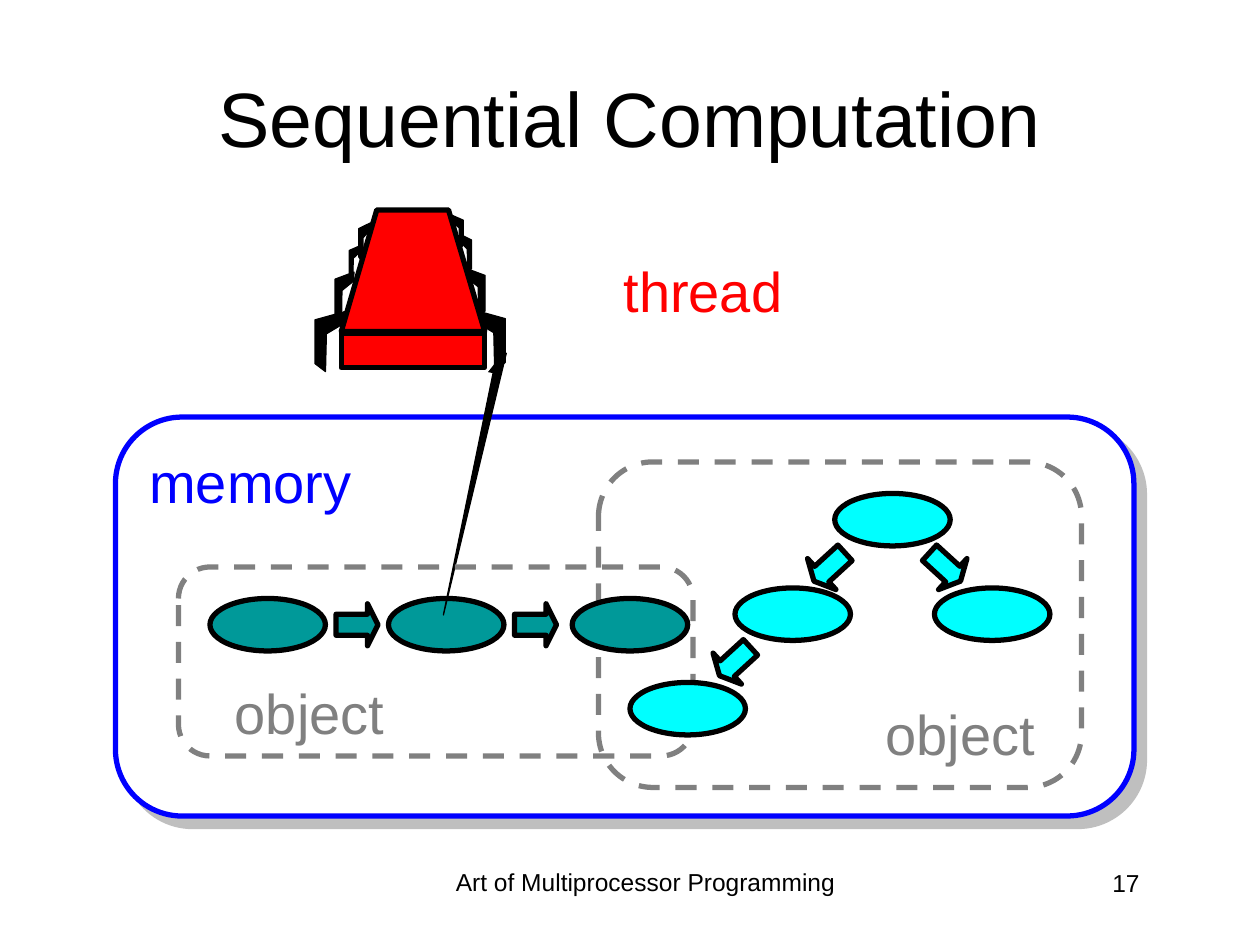
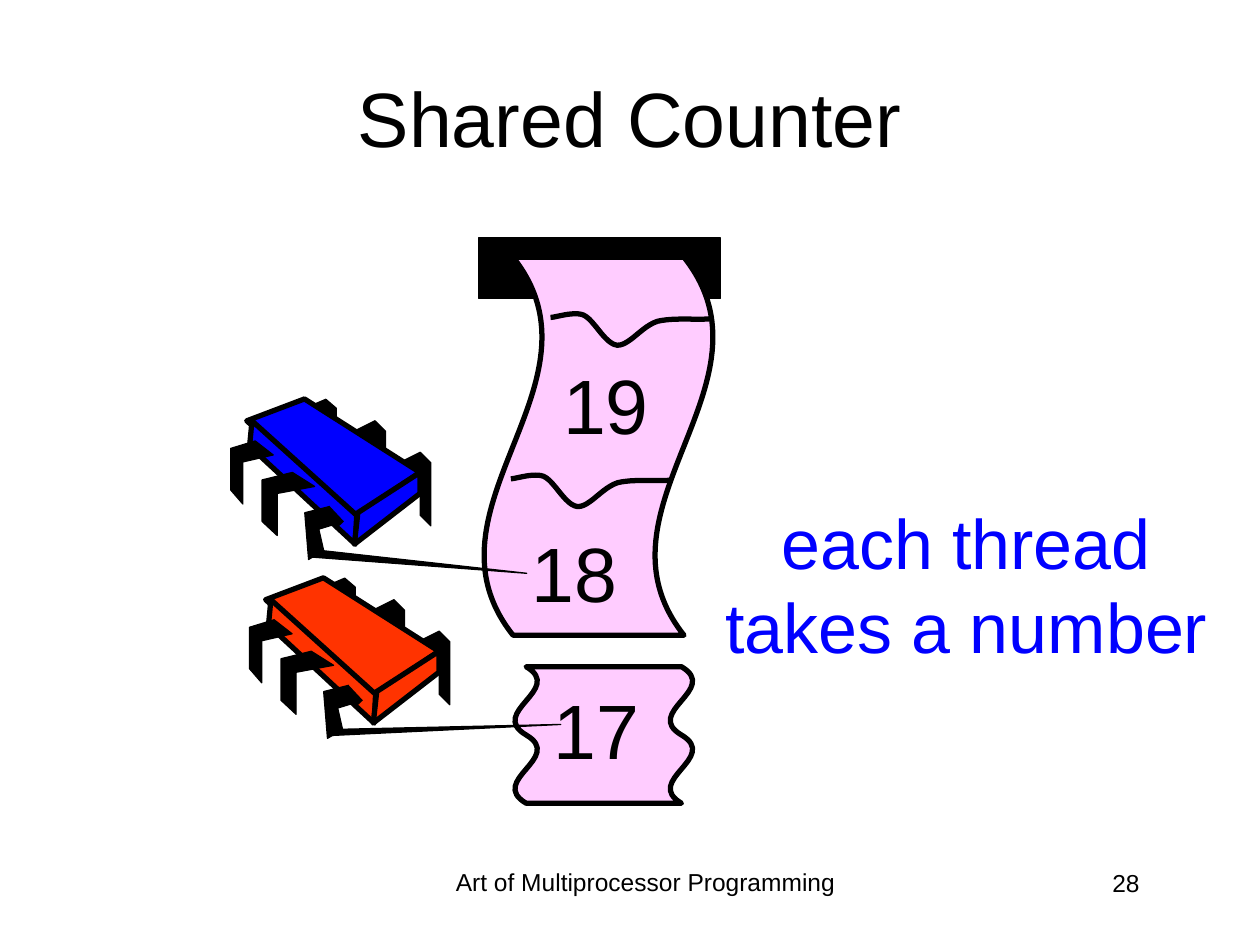
from lxml.etree import SubElement
from pptx import Presentation
from pptx.dml.color import RGBColor
from pptx.enum.dml import MSO_LINE
from pptx.enum.shapes import MSO_SHAPE
from pptx.enum.text import MSO_ANCHOR, MSO_AUTO_SIZE, PP_ALIGN
from pptx.oxml.ns import qn
from pptx.util import Pt

COLORS = {
    "black": "000000", "white": "FFFFFF", "blue": "0000FF", "red": "FF0000",
    "orange": "FF3300", "teal": "009999", "cyan": "00FFFF", "pink": "FFCCFF",
    "gray": "808080",
}
FONT = "Arial"
FOOTER = "Art of Multiprocessor Programming"
THICK, THIN = 3, 0.75
NODE = (66, 30)
ARROW = (24, 24)

# Outlines in points; legs are relative to their anchor
THREAD_LEG = [(0, 0), (18, 5), (18, 30), (12, 34.5), (11.5, 13), (0.7, 6.5)]
THREAD_LEGS = [  # anchor x, y, horizontal and vertical scale
    (270.7, 177.1, 1, 1), (266.4, 153.4, 0.6, 0.81),
    (262.8, 133.9, 0.37, 0.65), (258.5, 123.1, 0.35, 0.56),
    (198, 177.8, -1, 1), (202.3, 155.5, -0.6, 0.81),
    (211.7, 127.4, -0.37, 0.65), (205.9, 140.4, -0.35, 0.56),
]
BACK_LEG = [(0, 6), (12, 0), (18, 6), (18, 42), (12, 36), (12, 11.5), (0, 18)]
BACK_LEGS = [(228.2, 258.5, 1, 1), (202.3, 240.5, 1, 1), (174.2, 228.2, 1, 0.86)]
FRONT_LEG = [(17.3, 0), (30, 8), (8.6, 12), (8.6, 36), (0, 28), (0, 4.3)]
FRONT_LEGS = [(149.8, 270, 1, 1), (131.8, 252, 0.81, 1)]
CHIP_FACES = [
    [(174, 228), (240, 270), (203, 295), (141, 240.5)],
    [(144, 240.5), (203.8, 294.5), (203, 311), (142.6, 255)],
    [(240, 270), (240, 282), (202.5, 311), (204.5, 293)],
]
CHIP_ARM = [(188.6, 289.4), (174.2, 293), (176.4, 319.7),
            (185, 314.6), (182.2, 302.4), (196.6, 298)]
TEAR_START = (314.6, 181.4)
TEAR_CURVES = [
    [(317.5, 181.4), (327.6, 177.8), (333.4, 180)],
    [(339.8, 182.9), (345.6, 196.6), (352.8, 197.3)],
    [(360, 197.3), (366.5, 186.5), (375.8, 183.6)],
    [(384.5, 181.4), (399.6, 182.9), (405.4, 182.2)],
]


def rgb(name):
    return RGBColor.from_string(COLORS[name])


def set_attrs(obj, values):
    for name, value in values.items():
        setattr(obj, name, value)


def style(sp, fill, line="black", width=THICK, dash=None):
    sp.shadow.inherit = False
    if fill:
        sp.fill.solid()
        sp.fill.fore_color.rgb = rgb(fill)
    else:
        sp.fill.background()
    sp.line.color.rgb = rgb(line)
    set_attrs(sp.line, {"width": Pt(width), "dash_style": dash})
    return sp


def add_preset(shapes, kind, x, y, w, h, fill, adj=(), rot=0, **line):
    sp = shapes.add_shape(kind, Pt(x), Pt(y), Pt(w), Pt(h))
    for i, value in enumerate(adj):
        sp.adjustments[i] = value
    sp.rotation = rot
    return style(sp, fill, **line)


def add_outline(shapes, points, fill="black", width=THIN, close=True, head=False):
    pts = [(Pt(x), Pt(y)) for x, y in points]
    fb = shapes.build_freeform(*pts[0], scale=1.0)
    fb.add_line_segments(pts[1:], close=close)
    sp = style(fb.convert_to_shape(), fill, width=width)
    if head:
        ln = sp.element.spPr.find(qn("a:ln"))
        SubElement(ln, qn("a:tailEnd"), type="triangle")
    return sp


def add_text(slide, text, x, y, w, h, size, color="black", align=PP_ALIGN.CENTER,
             wrap=True, grow=False, anchor=MSO_ANCHOR.TOP):
    tf = slide.shapes.add_textbox(Pt(x), Pt(y), Pt(w), Pt(h)).text_frame
    set_attrs(tf, {
        "word_wrap": wrap,
        "vertical_anchor": anchor,
        "auto_size": MSO_AUTO_SIZE.SHAPE_TO_FIT_TEXT if grow else MSO_AUTO_SIZE.NONE,
    })
    p = tf.paragraphs[0]
    p.alignment = align
    r = p.add_run()
    r.text = text
    set_attrs(r.font, {"name": FONT, "size": Pt(size)})
    r.font.color.rgb = rgb(color)


def add_label(slide, text, x, y, w, h, size, color="black"):
    add_text(slide, text, x, y, w, h, size, color, PP_ALIGN.RIGHT, wrap=False, grow=True)


def add_slide(prs, title, number):
    slide = prs.slides.add_slide(prs.slide_layouts[6])
    add_text(slide, FOOTER, 246, 491.8, 246, 37.5, 14)
    add_text(slide, number, 508.3, 492.5, 150, 36, 14, align=PP_ALIGN.RIGHT)
    add_text(slide, title, 36, 21.6, 648, 90, 44, anchor=MSO_ANCHOR.MIDDLE)
    return slide


def placed(points, x, y, sx=1, sy=1):
    return [(x + px * sx, y + py * sy) for px, py in points]


def add_legs(shapes, leg, places):
    for place in places:
        add_outline(shapes, placed(leg, *place))


def add_hard_shadow(sp):
    effects = sp.element.spPr.find(qn("a:effectLst"))
    shadow = SubElement(effects, qn("a:outerShdw"), dist=str(Pt(8.5)),
                        dir="2700000", algn="ctr", rotWithShape="0")
    color = SubElement(shadow, qn("a:srgbClr"), val=COLORS["gray"])
    SubElement(color, qn("a:alpha"), val="50000")


def add_nodes(shapes, spots, fill):
    for x, y in spots:
        add_preset(shapes, MSO_SHAPE.OVAL, x, y, *NODE, fill)


def add_arrows(shapes, spots, fill):
    for x, y, rot in spots:
        add_preset(shapes, MSO_SHAPE.RIGHT_ARROW, x, y, *ARROW, fill, (0.5, 0.25), rot)


def add_object_box(slide, box, label_at):
    add_preset(slide.shapes, MSO_SHAPE.ROUNDED_RECTANGLE, *box, None, (0.167,),
               line="gray", dash=MSO_LINE.DASH)
    add_label(slide, "object", *label_at, 100.8, 46, 32, "gray")


def add_thread(slide):
    shapes = slide.shapes.add_group_shape().shapes
    add_legs(shapes, THREAD_LEG, THREAD_LEGS)
    add_outline(shapes, [(195, 189.5), (215.3, 120), (256.3, 120), (277, 189.5)],
                "red", THICK)
    add_preset(shapes, MSO_SHAPE.RECTANGLE, 195, 190.8, 82, 19.4, "red")


def add_chip(slide, fill, dx, dy, fingertip):
    shapes = slide.shapes.add_group_shape().shapes
    add_legs(shapes, BACK_LEG, [(x + dx, y + dy, *s) for x, y, *s in BACK_LEGS])
    for face in CHIP_FACES:
        add_outline(shapes, placed(face, dx, dy), fill, THICK)
    add_legs(shapes, FRONT_LEG, [(x + dx, y + dy, *s) for x, y, *s in FRONT_LEGS])
    base, back = placed([(176.4, 318.2), (183.6, 314.6)], dx, dy)
    add_outline(shapes, [base, fingertip, back], close=False)
    add_outline(shapes, placed(CHIP_ARM, dx, dy), close=False, head=True)


def curve_points(start, curves, steps=12):
    points = [start]
    for c1, c2, end in curves:
        p0 = points[-1]
        for i in range(1, steps + 1):
            t = i / steps
            u = 1 - t
            points.append(tuple(
                u**3 * a + 3 * u * u * t * b + 3 * u * t * t * c + t**3 * d
                for a, b, c, d in zip(p0, c1, c2, end)))
    return points


def sequential_computation(prs):
    slide = add_slide(prs, "Sequential Computation", "17")
    shapes = slide.shapes

    # Memory and the thread
    memory = add_preset(shapes, MSO_SHAPE.ROUNDED_RECTANGLE, 66, 238.3, 582, 228,
                        "white", (0.167,), line="blue")
    add_hard_shadow(memory)
    add_thread(slide)

    # List and tree
    add_nodes(shapes, [(120, 342), (222, 342)], "teal")
    add_nodes(shapes, [(534, 336), (477, 282), (420, 336)], "cyan")
    add_arrows(shapes, [(192, 345, 0), (294, 345, 0)], "teal")
    add_arrows(shapes, [(528, 312, 42.5), (462, 312, 137.5), (408, 366, 137.5)], "cyan")
    add_label(slide, "memory", 77.8, 252, 130.3, 45.4, 32, "blue")

    # Thread's finger
    add_outline(shapes, [(289.4, 201.6), (253.4, 351.4), (283, 207.4)],
                close=False, head=True)

    # Object borders, with the nodes that lie over them
    add_object_box(slide, (102, 324, 294, 108), (126, 384))
    add_object_box(slide, (342, 264, 276, 186), (497.7, 396))
    add_nodes(shapes, [(360, 390)], "cyan")
    add_nodes(shapes, [(327, 342)], "teal")
    add_label(slide, "thread", 348.5, 143.3, 105.8, 46, 32, "red")


def shared_counter(prs):
    slide = add_slide(prs, "Shared Counter", "28")
    shapes = slide.shapes

    # Ticket dispenser
    add_preset(shapes, MSO_SHAPE.RECTANGLE, 273.6, 136, 138, 34.6, "black", width=THIN)
    add_preset(shapes, MSO_SHAPE.WAVE, 234, 189, 216, 132, "pink", (0.13, 0), 90)
    add_preset(shapes, MSO_SHAPE.DOUBLE_WAVE, 306, 369, 78, 102, "pink", (0.065, 0), 90)
    for number, x, y in [("17", 308.2, 386.6), ("18", 295.9, 296.6), ("19", 313.9, 200.9)]:
        add_label(slide, number, x, y, 64, 60.5, 44)

    # Tear lines
    tear = curve_points(TEAR_START, TEAR_CURVES)
    for dx, dy in [(0, 0), (-22.7, 92.2)]:
        add_outline(shapes, placed(tear, dx, dy), None, THICK, close=False)

    # Threads reaching for tickets
    add_text(slide, "each thread takes a number", 396, 282, 312, 103, 40, "blue", grow=True)
    add_chip(slide, "blue", 0, 0, (301, 327.6))
    add_chip(slide, "orange", 10.8, 102.2, (320.4, 414))


def main():
    prs = Presentation()
    set_attrs(prs, {"slide_width": Pt(720), "slide_height": Pt(540)})
    sequential_computation(prs)
    shared_counter(prs)
    prs.save("out.pptx")


if __name__ == "__main__":
    main()
